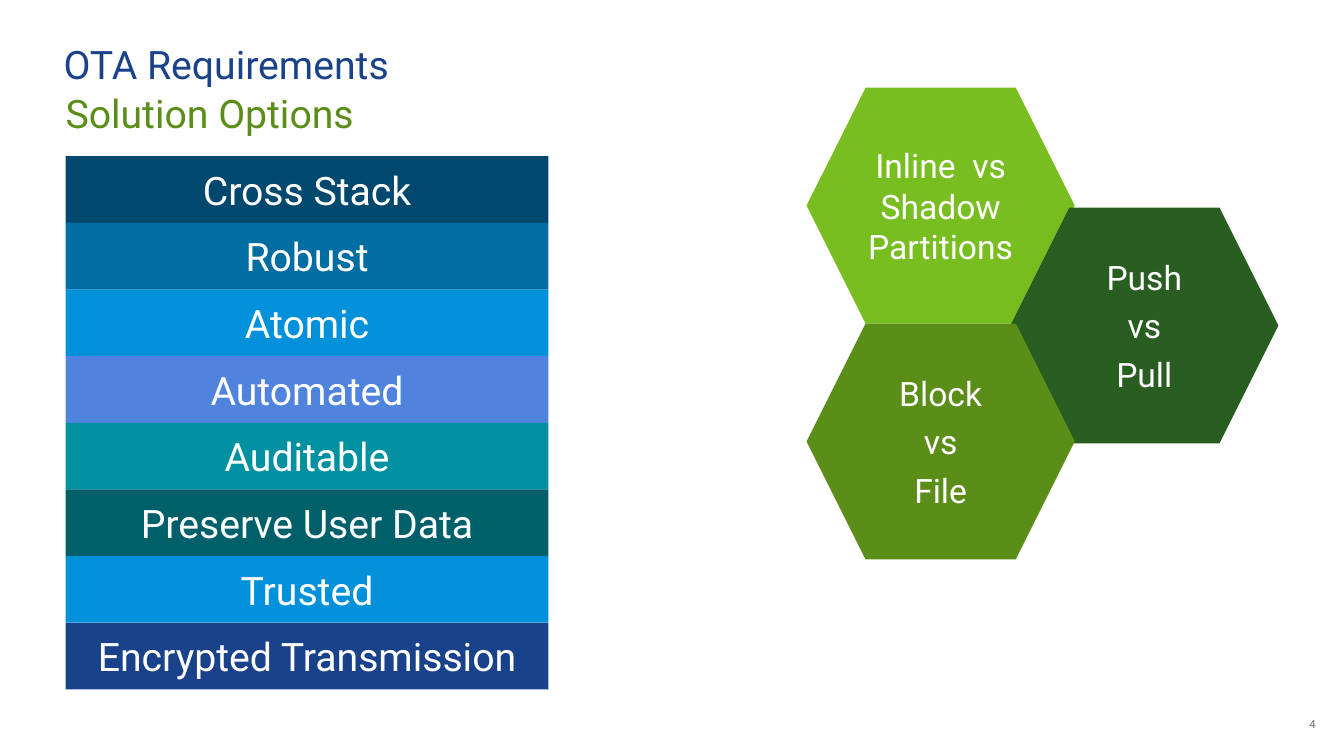
from pptx import Presentation
from pptx.dml.color import RGBColor
from pptx.enum import shapes, text
from pptx.util import Inches, Pt

COLORS = {
    "navy": "1A428A", "deep": "00486D", "blue": "006DA3", "sky": "0091DA",
    "violet": "5083DE", "teal": "0091A0", "pine": "00606A", "lime": "78BE20",
    "forest": "2A5D21", "olive": "5A8E18", "gray": "717074", "white": "FFFFFF",
}
REQUIREMENTS = [
    ("Cross Stack", "deep"), ("Robust", "blue"), ("Atomic", "sky"),
    ("Automated", "violet"), ("Auditable", "teal"),
    ("Preserve User Data", "pine"), ("Trusted", "sky"),
    ("Encrypted Transmission", "navy"),
]


def write(frame, *lines, size=28, color="white", align="CENTER",
          anchor="MIDDLE", after=0, spacing=1.0, inset=None, wrap=True):
    frame.auto_size = text.MSO_AUTO_SIZE.NONE
    frame.word_wrap = wrap
    frame.vertical_anchor = text.MSO_ANCHOR[anchor]
    if inset is not None:
        frame.margin_left = frame.margin_right = Inches(inset)
        frame.margin_top = frame.margin_bottom = Inches(inset)
    for index, line in enumerate(lines):
        para = frame.add_paragraph() if index else frame.paragraphs[0]
        para.alignment = text.PP_ALIGN[align]
        para.space_before, para.space_after = Pt(0), Pt(after)
        para.line_spacing = spacing
        span = para.add_run()
        span.text = line
        span.font.name, span.font.size = "Roboto", Pt(size)
        span.font.bold = False
        span.font.color.rgb = RGBColor.from_string(COLORS[color])


def place(shape, left, top, width, height):
    shape.left, shape.top = Inches(left), Inches(top)
    shape.width, shape.height = Inches(width), Inches(height)


def add_tile(page, kind, box, lines, fill, size):
    tile = page.shapes.add_shape(kind, *map(Inches, box))
    tile.shadow.inherit = False
    tile.fill.solid()
    tile.fill.fore_color.rgb = RGBColor.from_string(COLORS[fill])
    tile.line.fill.background()
    write(tile.text_frame, *lines, size=size, after=6)


def add_heading(page, left, top, width):
    title, subtitle = page.shapes.title, page.placeholders[1]
    place(title, left - 0.02, top, width, 0.42)
    write(title.text_frame, "OTA Requirements", color="navy", align="LEFT",
          anchor="BOTTOM", spacing=0.9, inset=0, wrap=False)
    place(subtitle, left, top + 0.44, width, 0.27)
    write(subtitle.text_frame, "Solution Options", color="olive",
          align="LEFT", anchor="TOP", inset=0)


def add_requirements(page, left, top, width, height):
    step = height / len(REQUIREMENTS)
    for row, (label, fill) in enumerate(REQUIREMENTS):
        add_tile(page, shapes.MSO_SHAPE.RECTANGLE,
                 (left, top + row * step, width, step), [label], fill, 28)


def add_options(page, left, top, width, height):
    options = [
        (0, 0, ["Inline  vs Shadow Partitions"], "lime"),
        (2.02, 1.19, ["Push", "vs", "Pull"], "forest"),
        (0, height, ["Block", "vs", "File"], "olive"),
    ]
    for across, down, lines, fill in options:
        add_tile(page, shapes.MSO_SHAPE.HEXAGON,
                 (left + across, top + down, width, height), lines, fill, 24)


def add_page_number(page, left, top, width, height):
    box = page.shapes.add_textbox(*map(Inches, (left, top, width, height)))
    write(box.text_frame, "4", size=8, color="gray", align="RIGHT",
          spacing=0.9, inset=0)


def main():
    deck = Presentation()
    deck.slide_width, deck.slide_height = Inches(13.33), Inches(7.5)
    page = deck.slides.add_slide(deck.slide_layouts[0])
    add_heading(page, 0.65, 0.45, 12.02)
    add_requirements(page, 0.65, 1.55, 4.79, 5.29)
    add_options(page, 8, 0.87, 2.66, 2.34)
    add_page_number(page, 12.57, 6.99, 0.48, 0.4)
    deck.save("out.pptx")


if __name__ == "__main__":
    main()
